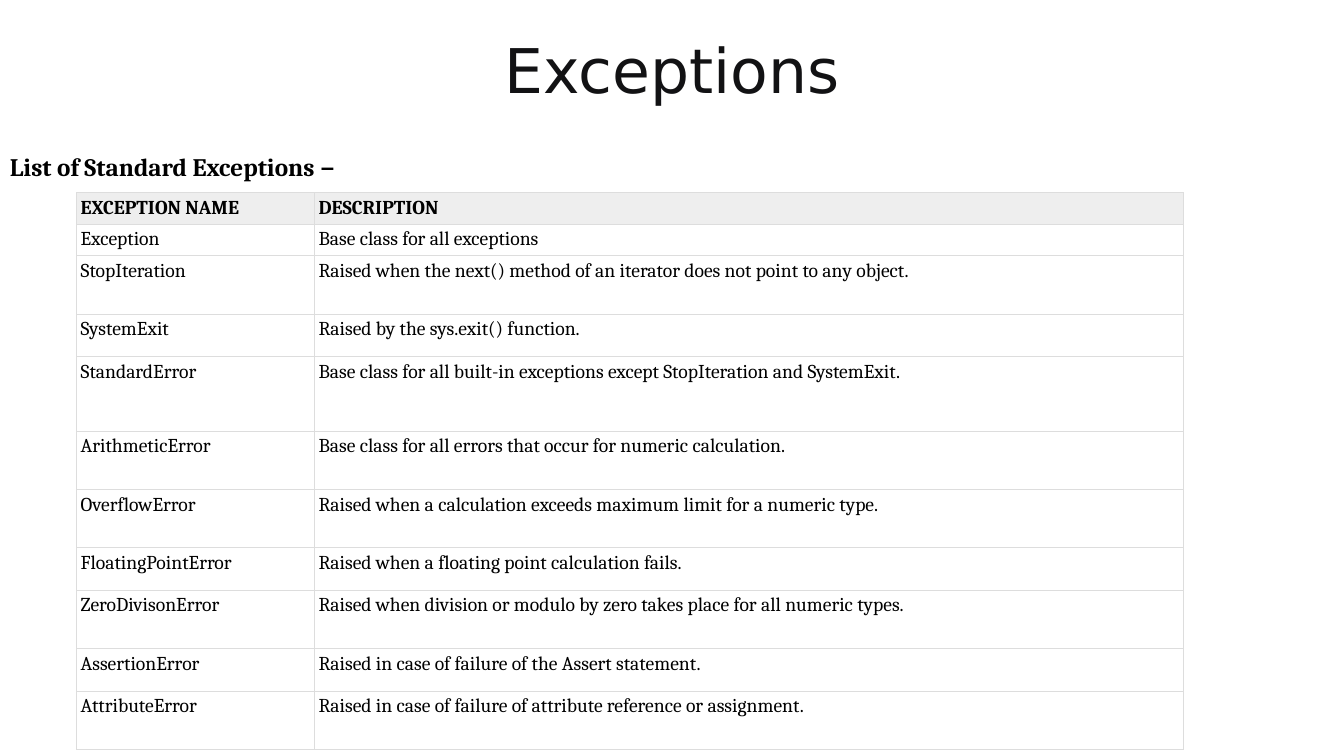
from lxml.etree import SubElement
from pptx import Presentation
from pptx.dml.color import RGBColor
from pptx.enum.text import MSO_ANCHOR, MSO_AUTO_SIZE, PP_ALIGN
from pptx.oxml.ns import qn
from pptx.util import Inches, Pt

EXCEPTIONS = [
    ("EXCEPTION NAME", "DESCRIPTION", 0.26),
    ("Exception", "Base class for all exceptions", 0.26),
    ("StopIteration", "Raised when the next() method of an iterator does not point to any object.", 0.58),
    ("SystemExit", "Raised by the sys.exit() function.", 0.42),
    ("StandardError", "Base class for all built-in exceptions except StopIteration and SystemExit.", 0.74),
    ("ArithmeticError", "Base class for all errors that occur for numeric calculation.", 0.58),
    ("OverflowError", "Raised when a calculation exceeds maximum limit for a numeric type.", 0.58),
    ("FloatingPointError", "Raised when a floating point calculation fails.", 0.42),
    ("ZeroDivisonError", "Raised when division or modulo by zero takes place for all numeric types.", 0.58),
    ("AssertionError", "Raised in case of failure of the Assert statement.", 0.42),
    ("AttributeError", "Raised in case of failure of attribute reference or assignment.", 0.58),
]


def color(value):
    """Turn a hex string into a colour."""
    return RGBColor.from_string(value)


def write(frame, text, size=14, font="Cambria", ink="000000", bold=False,
          align=PP_ALIGN.LEFT, line_spacing=None, space_after=0):
    """Put one formatted paragraph into a text frame."""
    paragraph = frame.paragraphs[0]
    paragraph.alignment = align
    paragraph.line_spacing = line_spacing
    paragraph.space_before = Pt(0)
    paragraph.space_after = Pt(space_after)
    run = paragraph.add_run()
    run.text = text
    run.font.size = Pt(size)
    run.font.name = font
    run.font.bold = bold
    run.font.color.rgb = color(ink)


class SlideBuilder:
    """Hold the table style and the current slide."""

    border = "DDDDDD"
    header_fill = "EEEEEE"
    cell_inset = 0.04

    def __init__(self, slide):
        """Keep the slide to draw on."""
        self.slide = slide

    def title(self, text, left, top, width, height):
        """Place and fill the title placeholder."""
        shape = self.slide.shapes.title
        shape.left, shape.top = Inches(left), Inches(top)
        shape.width, shape.height = Inches(width), Inches(height)
        frame = shape.text_frame
        frame.word_wrap = True
        frame.auto_size = MSO_AUTO_SIZE.NONE
        frame.vertical_anchor = MSO_ANCHOR.MIDDLE
        write(frame, text, size=44, font="DejaVu Sans", ink="121214",
              align=PP_ALIGN.CENTER, line_spacing=0.9)

    def heading(self, text, left, top, width, height):
        """Add a bold heading above the table."""
        shape = self.slide.shapes.add_textbox(Inches(left), Inches(top), Inches(width), Inches(height))
        frame = shape.text_frame
        frame.word_wrap = True
        frame.auto_size = MSO_AUTO_SIZE.SHAPE_TO_FIT_TEXT
        write(frame, text, size=18, bold=True, align=PP_ALIGN.JUSTIFY, space_after=12)

    def table(self, records, left, top, widths):
        """Add a two-column table whose records end with the row height."""
        height = sum(record[-1] for record in records)
        shape = self.slide.shapes.add_table(len(records), len(widths), Inches(left), Inches(top),
                                            Inches(sum(widths)), Inches(height))
        table = shape.table
        table.first_row = table.horz_banding = False
        for column, width in zip(table.columns, widths):
            column.width = Inches(width)
        for index, (row, record) in enumerate(zip(table.rows, records)):
            row.height = Inches(record[-1])
            for cell, text in zip(row.cells, record):
                self.cell(cell, text, header=index == 0)

    def cell(self, cell, text, header):
        """Format and fill one table cell."""
        inset = Inches(self.cell_inset)
        cell.margin_left = cell.margin_right = cell.margin_top = cell.margin_bottom = inset
        properties = cell._tc.get_or_add_tcPr()
        for side in ("a:lnL", "a:lnR", "a:lnT", "a:lnB"):
            line = SubElement(properties, qn(side), w=str(Pt(0.75)))
            fill = SubElement(line, qn("a:solidFill"))
            SubElement(fill, qn("a:srgbClr"), val=self.border)
        if header:
            cell.fill.solid()
            cell.fill.fore_color.rgb = color(self.header_fill)
        else:
            cell.fill.background()
        write(cell.text_frame, text, bold=header)


def main():
    """Build the slide and save it."""
    presentation = Presentation()
    presentation.slide_width = Inches(13.33)
    presentation.slide_height = Inches(7.5)
    builder = SlideBuilder(presentation.slides.add_slide(presentation.slide_layouts[5]))
    builder.title("Exceptions", 0, 0, 13.33, 1.45)
    builder.heading("List of Standard Exceptions −", 0, 1.45, 13.33, 0.4)
    builder.table(EXCEPTIONS, 0.76, 1.91, [2.36, 8.62])
    presentation.save("out.pptx")


if __name__ == "__main__":
    main()
